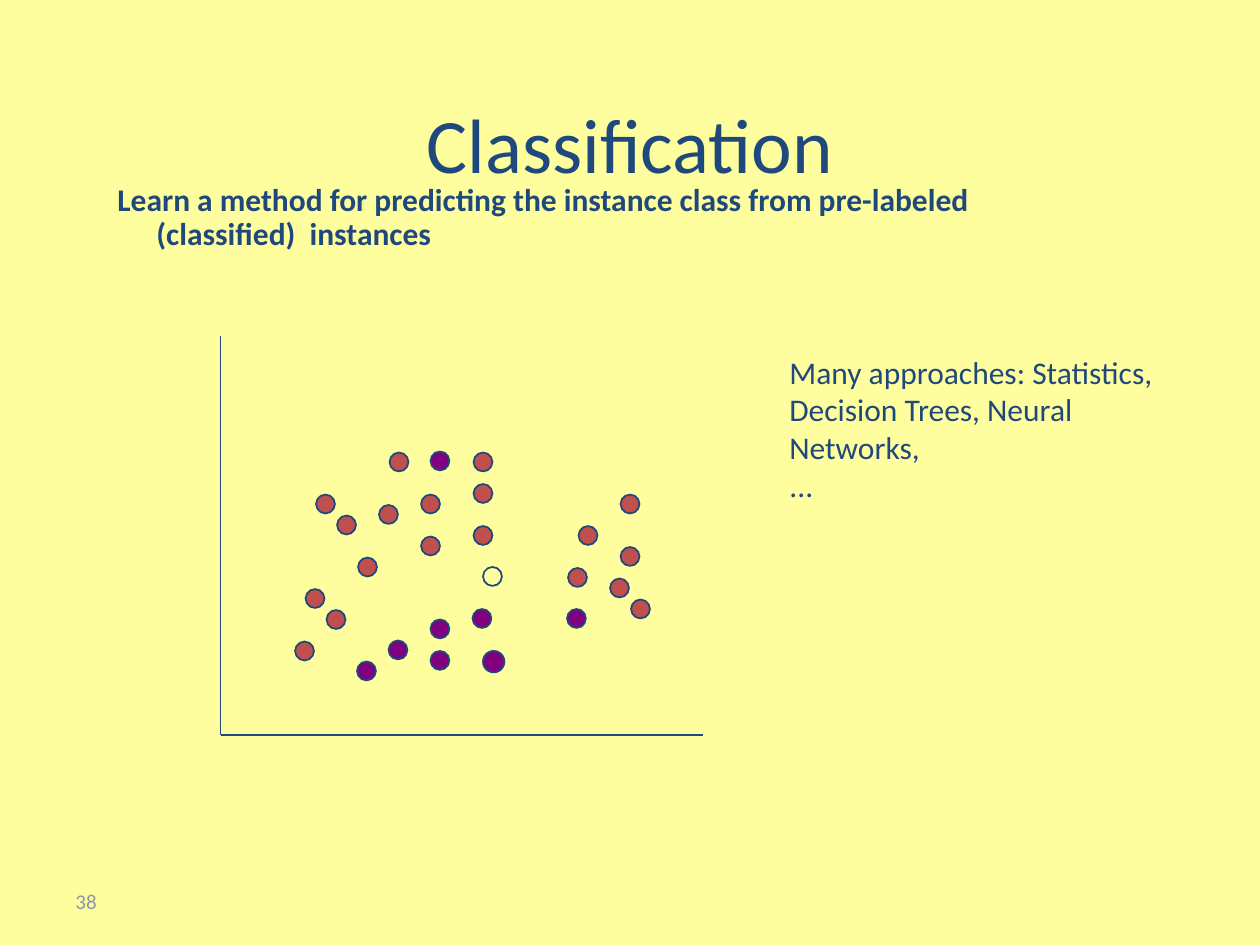
"""Build the Classification slide: a scatter of labeled points beside a list of approaches."""
import pptx
import pptx.dml.color
import pptx.enum.shapes
import pptx.enum.text
import pptx.oxml
import pptx.util

COLORS = {
    "paper": "FFFE9E",
    "navy": "1F497D",
    "red": "C0504D",
    "purple": "800080",
    "gray": "8D95AA",
}
ALIGN = pptx.enum.text.PP_ALIGN
ANCHOR = pptx.enum.text.MSO_ANCHOR

deck = pptx.Presentation()
deck.slide_width = pptx.util.Inches(10)
deck.slide_height = pptx.util.Inches(7.5)
GRID = deck.slide_width / 120


def rgb(name):
    return pptx.dml.color.RGBColor.from_string(COLORS[name])


def write(holder, text, area, size=18, color="navy", bold=False, align=ALIGN.LEFT,
          anchor=ANCHOR.TOP, hanging=0, line_spacing=None, before=0):
    holder.left, holder.top, holder.width, holder.height = (round(n * GRID) for n in area)
    frame = holder.text_frame
    frame.word_wrap = True
    frame.auto_size = pptx.enum.text.MSO_AUTO_SIZE.NONE
    frame.vertical_anchor = anchor
    frame.text = text
    for paragraph in frame.paragraphs:
        paragraph.alignment = align
        paragraph.line_spacing = line_spacing
        paragraph.space_before = pptx.util.Pt(before)
        if hanging:
            indent = pptx.util.Inches(hanging)
            properties = paragraph._p.get_or_add_pPr()
            properties.set("marL", str(indent))
            properties.set("indent", str(-indent))
        font = paragraph.runs[0].font
        font.name, font.size, font.bold = "Calibri", pptx.util.Pt(size), bold
        font.color.rgb = rgb(color)


slide = deck.slides.add_slide(deck.slide_layouts[5])
slide.background.fill.solid()
slide.background.fill.fore_color.rgb = rgb("paper")
shapes = slide.shapes

write(shapes.title, "Classification", (6, 3.6, 108, 15), size=44,
      align=ALIGN.CENTER, anchor=ANCHOR.BOTTOM)
page_number = shapes.add_textbox(0, 0, 0, 0)
write(page_number, "38", (6, 83.4, 28, 4.8), size=12, color="gray", anchor=ANCHOR.MIDDLE)

origin = (21, 70)
for axis_end in [(21, 32), (67, 70)]:
    axis = shapes.add_connector(pptx.enum.shapes.MSO_CONNECTOR.STRAIGHT,
                                *(round(n * GRID) for n in origin + axis_end))
    axis.line.color.rgb = rgb("navy")
    axis.line.width = pptx.util.Pt(1)
    axis._element.spPr.append(pptx.oxml.parse_xml(
        '<a:effectLst xmlns:a="http://schemas.openxmlformats.org/drawingml/2006/main"/>'))

DOT, LARGE_DOT, RED_SHIFT = 1.8, 2.04, 0.1
red_class = [
    (30, 47), (32, 49), (36, 48), (40, 47), (29, 56), (45, 43), (34, 53),
    (40, 51), (45, 50), (31, 58), (28, 61), (37, 43), (45, 46), (59, 47),
    (55, 50), (54, 54), (58, 55), (60, 57), (59, 52),
]
purple_class = [(34, 63), (37, 61), (41, 62), (41, 59), (45, 58), (41, 43), (54, 58)]
point_groups = [
    ("red", DOT, RED_SHIFT, red_class),
    ("purple", DOT, 0, purple_class),
    ("purple", LARGE_DOT, 0, [(46, 62)]),
    ("paper", DOT, 0, [(46, 54)]),
]
for color, diameter, shift, places in point_groups:
    for column, row in places:
        area = (column + shift, row + shift, diameter, diameter)
        instance = shapes.add_shape(pptx.enum.shapes.MSO_SHAPE.OVAL,
                                    *(round(n * GRID) for n in area))
        instance.shadow.inherit = False
        instance.fill.solid()
        instance.fill.fore_color.rgb = rgb(color)
        instance.line.color.rgb = rgb("navy")
        instance.line.width = pptx.util.Pt(1)

definition = shapes.add_textbox(0, 0, 0, 0)
write(definition,
      "Learn a method for predicting the instance class from pre-labeled "
      "(classified)  instances",
      (10, 17, 94, 9.8), bold=True, hanging=0.31, line_spacing=0.9, before=5.4)
approaches = shapes.add_textbox(0, 0, 0, 0)
write(approaches,
      "Many approaches: Statistics,\nDecision Trees, Neural Networks,\n...",
      (74, 33, 38, 25.2))

deck.save("out.pptx")
